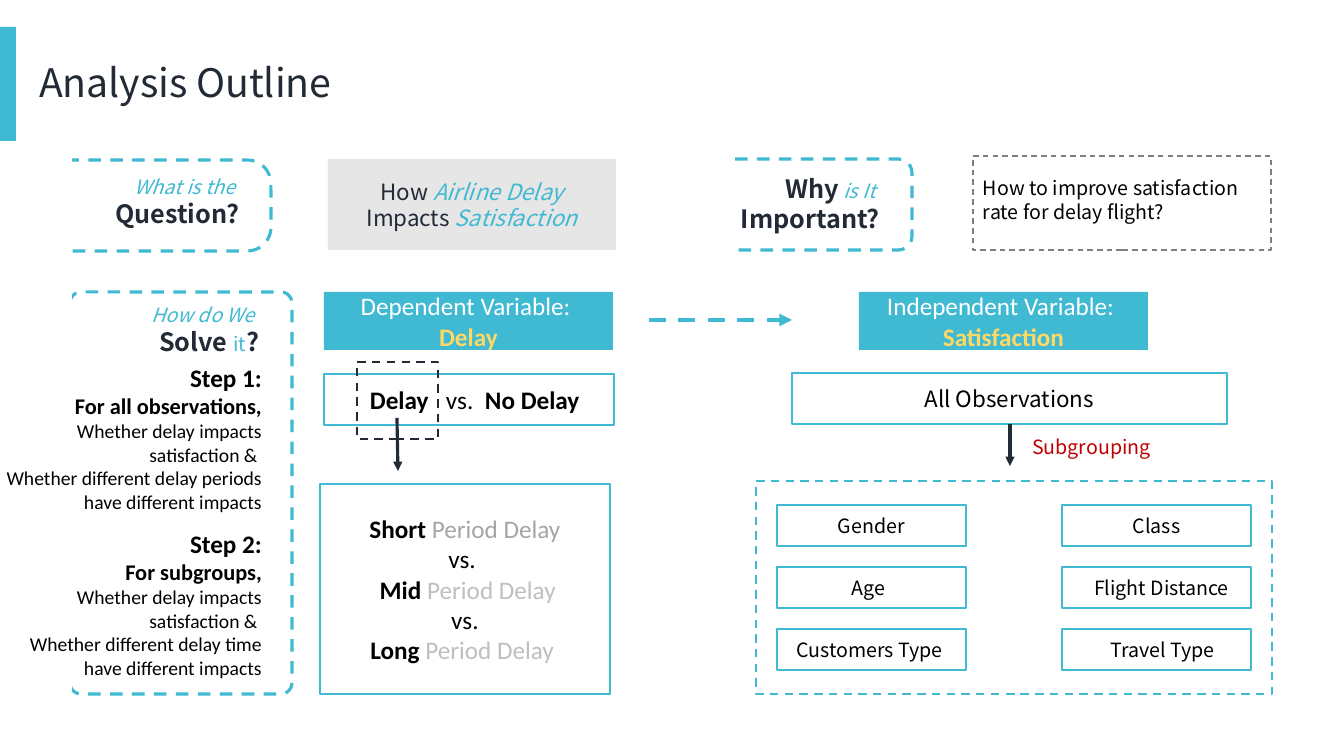
from pptx import Presentation
from pptx.dml.color import RGBColor
from pptx.enum.dml import MSO_LINE_DASH_STYLE as DASH
from pptx.enum.shapes import MSO_CONNECTOR as CONN, MSO_SHAPE as SHAPE
from pptx.enum.text import MSO_ANCHOR as ANCHOR, PP_ALIGN as ALIGN
from pptx.oxml.ns import qn
from pptx.util import Emu, Pt
from lxml.etree import SubElement

PX = 914400 / 100.8
NOTO, CALIBRI = "Noto Sans CJK SC", "Calibri"
COLORS = {
    "teal": "40B9D2", "bar": "40BAD2", "navy": "222A35", "black": "000000",
    "white": "FFFFFF", "panel": "E7E6E6", "gray": "7F7F7F", "red": "C00000",
    "gold": "FFD966", "silver": "A5A5A5", "pale": "BFBFBF",
}
RGB = {name: RGBColor.from_string(value) for name, value in COLORS.items()}


def px(value):
    """Turn pixels into EMU."""
    return Emu(round(value * PX))


def add_box(at, paras=(), fill=None, line=None, width=1.5, dash=False, adj=None,
            font=NOTO, align=ALIGN.CENTER, anchor=ANCHOR.MIDDLE, spacing=None,
            left=10, top=5):
    """Add a box; paras holds lists of (text, size, color, style) runs."""
    kind = SHAPE.RECTANGLE if adj is None else SHAPE.ROUNDED_RECTANGLE
    at = [px(v) for v in at]
    if fill or line:
        sp = s.shapes.add_shape(kind, *at)
        sp.shadow.inherit = False
        if adj is not None:
            sp.adjustments[0] = adj
        for part, color in ((sp.fill, fill), (sp.line.fill, line)):
            if color:
                part.solid()
                part.fore_color.rgb = RGB[color]
            else:
                part.background()
        if line:
            sp.line.width = Pt(width)
        if dash:
            sp.line.dash_style = DASH.DASH
    else:
        sp = s.shapes.add_textbox(*at)
    tf = sp.text_frame
    frame = {"word_wrap": True, "vertical_anchor": anchor, "margin_left": px(left),
             "margin_right": px(10), "margin_top": px(top), "margin_bottom": px(5)}
    for key, value in frame.items():
        setattr(tf, key, value)
    for i, runs in enumerate(paras):
        p = tf.add_paragraph() if i else tf.paragraphs[0]
        p.alignment = align
        if spacing:
            p.line_spacing = spacing
        for text, size, color, style in runs:
            r = p.add_run()
            r.text = text
            fmt = {"name": font, "size": Pt(size), "bold": "b" in style,
                   "italic": "i" in style}
            for key, value in fmt.items():
                setattr(r.font, key, value)
            r.font.color.rgb = RGB[color]
    return sp


prs = Presentation()
prs.slide_width, prs.slide_height = px(1344), px(756)
s = prs.slides.add_slide(prs.slide_layouts[6])

# Title
add_box((0, 27, 16, 114), fill="bar")
add_box((29, 30, 643, 109), [[("Analysis Outline", 28, "navy", "")]],
        align=ALIGN.LEFT, spacing=0.9)

# Dashed question tabs, open on the left
tabs = [
    ((36, 160, 235, 91), 0.26, (73, 170, 177, 65),
     [[("What is the ", 14, "teal", "i")], [("Question?", 18, "navy", "b")]]),
    ((677, 159, 235, 91), 0.15, (602, 168, 288, 72),
     [[("Why", 18, "navy", "b"), (" is It ", 14, "teal", "i")],
      [("Important?", 18, "navy", "b")]]),
    ((70, 292, 222, 402), 0.05, (-19, 298, 288, 81),
     [[("How do We ", 14, "teal", "i")],
      [("Solve ", 18, "navy", "b"), ("it", 14, "teal", ""), ("?", 18, "navy", "b")]]),
]
for outline, adj, label, paras in tabs:
    add_box(outline, line="teal", width=2.25, dash=True, adj=adj)
    add_box(label, paras, align=ALIGN.RIGHT, anchor=ANCHOR.TOP)
for edge in ((7, 154, 65, 602), (665, 150, 65, 111)):
    add_box(edge, fill="white")

# Answers in the top row
add_box((328, 159, 288, 91),
        [[("How ", 16, "navy", ""), ("Airline Delay ", 16, "teal", "i"),
          ("Impacts ", 16, "navy", ""), ("Satisfaction", 16, "teal", "i")]],
        fill="panel")
add_box((973, 156, 298, 94),
        [[("How to improve satisfaction rate for delay flight?", 14, "black", "")]],
        line="gray", width=1, dash=True, align=ALIGN.LEFT, anchor=ANCHOR.TOP, top=20)

# Variable headers
for x, role, variable in ((324, "Dependent", "Delay"),
                          (859, "Independent", "Satisfaction")):
    add_box((x, 292, 289, 58),
            [[(f"{role} Variable: ", 18, "white", "")], [(variable, 18, "gold", "b")]],
            fill="teal", font=CALIBRI)

# Satisfaction subgroups
add_box((792, 373, 435, 51), [[("All Observations", 16, "black", "")]], line="teal")
add_box((756, 481, 516, 213), line="teal", dash=True)
groups = [
    (777, (("Gender", 10), ("Age", 4), ("Customers Type", 6))),
    (1062, (("Class", 10), ("Flight Distance", 20), ("Travel Type", 22))),
]
for x, names in groups:
    for row, (name, left) in enumerate(names):
        add_box((x, 505 + 62 * row, 189, 41), [[(name, 14, "black", "")]],
                line="teal", left=left)
add_box((1014, 430, 155, 34), [[("Subgrouping", 14, "red", "")]], anchor=ANCHOR.TOP)

# Delay comparison, aligned on tab stops
versus = add_box((324, 374, 290, 51),
                 [[("Delay", 18, "black", "b"), ("\tvs.", 18, "black", ""),
                   ("\tNo Delay", 18, "black", "b")]],
                 line="teal", font=CALIBRI, align=ALIGN.LEFT, left=46)
pPr = versus.text_frame.paragraphs[0]._p.get_or_add_pPr()
stops = SubElement(pPr, qn("a:tabLst"))
for stop in (76, 115):
    SubElement(stops, qn("a:tab"), pos=str(px(stop)), algn="l")
add_box((357, 362, 81, 77), line="navy", dash=True)
add_box((320, 484, 290, 210),
        [[("Short ", 18, "black", "b"), ("Period Delay", 18, "silver", "")],
         [("vs. ", 18, "black", "")],
         [(" Mid ", 18, "black", "b"), ("Period Delay", 18, "pale", "")],
         [("vs.", 18, "black", "")],
         [("Long ", 18, "black", "b"), ("Period Delay ", 18, "pale", "")]],
        line="teal", font=CALIBRI)

# Arrows
arrows = [((1010, 424, 1010, 466), "navy", 2.25, False),
          ((649, 320, 792, 320), "teal", 3, True),
          ((397, 418, 398, 471), "navy", 2.25, False)]
for ends, color, width, dashed in arrows:
    arrow = s.shapes.add_connector(CONN.STRAIGHT, *[px(v) for v in ends])
    arrow.line.color.rgb = RGB[color]
    arrow.line.width = Pt(width)
    if dashed:
        arrow.line.dash_style = DASH.DASH
    SubElement(arrow.line._get_or_add_ln(), qn("a:tailEnd"), type="triangle")
    SubElement(arrow._element.spPr, qn("a:effectLst"))

# Steps
steps = [("Step 1:", "all observations", "periods", 357),
         ("Step 2:", "subgroups", "time", 523)]
for step, scope, noun, y in steps:
    add_box((-17, y, 289, 163),
            [[(step, 18, "black", "b")],
             [(f"For {scope},", 16, "black", "b")],
             [("Whether delay impacts satisfaction & ", 14, "black", "")],
             [(f"Whether different delay {noun} have different impacts", 14, "black", "")]],
            font=CALIBRI, align=ALIGN.RIGHT, anchor=ANCHOR.TOP)

prs.save("out.pptx")
